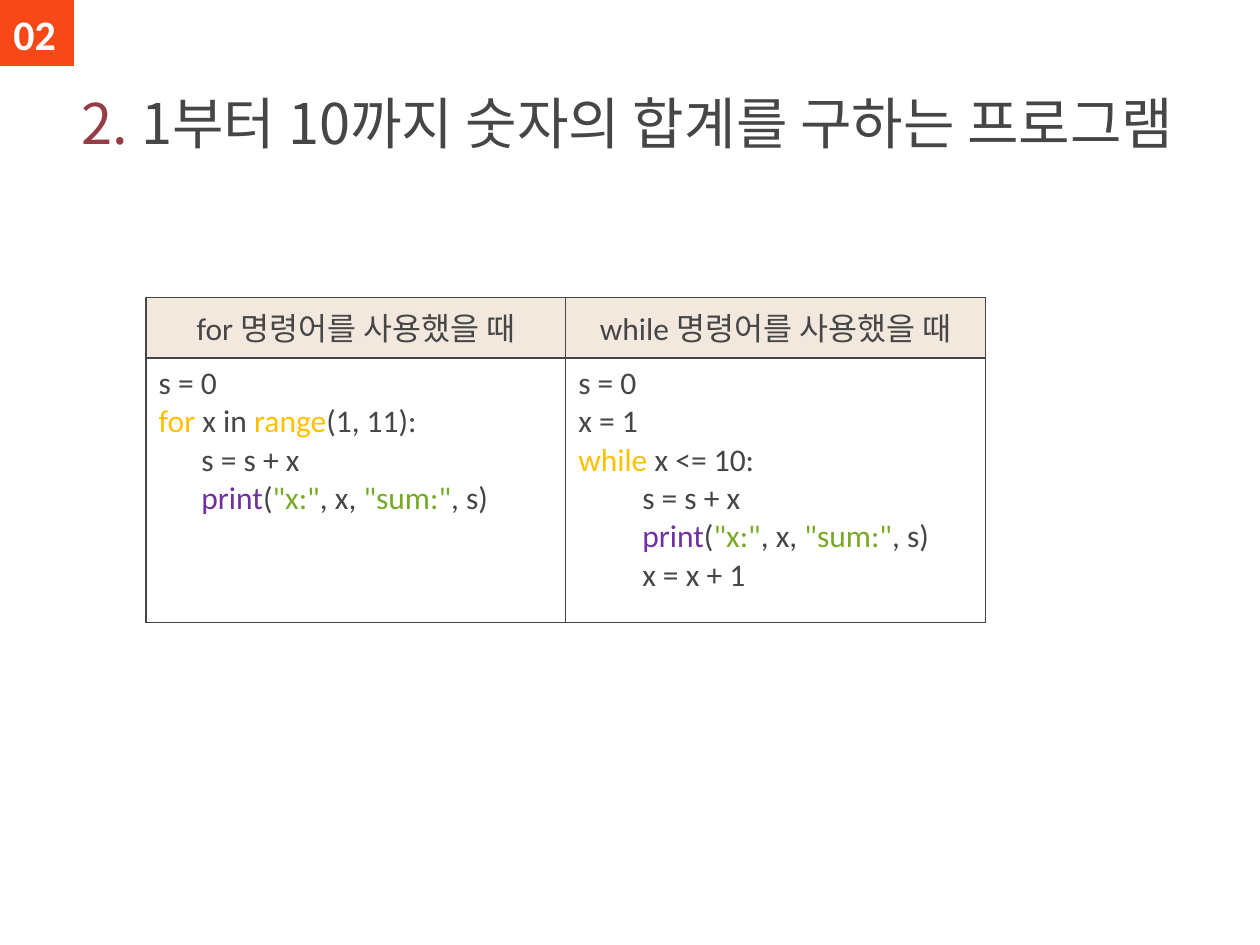
import pptx
import pptx.util
import pptx.dml.color
import pptx.enum.shapes
import pptx.enum.text
import pptx.oxml
import pptx.oxml.ns

Inches, Pt = pptx.util.Inches, pptx.util.Pt
RGBColor = pptx.dml.color.RGBColor
PP_ALIGN = pptx.enum.text.PP_ALIGN
ANCHOR = pptx.enum.text.MSO_ANCHOR

INK = RGBColor(0x46, 0x46, 0x46)
WINE = RGBColor(0x95, 0x3D, 0x46)
ORANGE = RGBColor(0xF8, 0x48, 0x18)
WHITE = RGBColor(0xFF, 0xFF, 0xFF)
BEIGE = RGBColor(0xF2, 0xE8, 0xDE)
KEYWORD = RGBColor(0xFF, 0xC0, 0x00)
FUNCTION = RGBColor(0x70, 0x30, 0xA0)
STRING = RGBColor(0x78, 0xAA, 0x28)
LATIN, KOREAN = "Calibri", "Noto Sans CJK KR"

# Content: a line is a list of (text, colour) runs
TITLE = [("2. ", WINE), ("1부터 10까지 숫자의 합계를 구하는 프로그램", INK)]
NUMBER = [("02", WHITE)]
PRINT = [("print", FUNCTION), ("(", INK), ('"x:"', STRING), (", x, ", INK),
         ('"sum:"', STRING), (", s)", INK)]
FOR_INDENT, WHILE_INDENT = " " * 6, " " * 9
HEADERS = ["for 명령어를 사용했을 때", "while 명령어를 사용했을 때"]
PROGRAMS = [
    [
        [("s = 0", INK)],
        [("for", KEYWORD), (" x in ", INK), ("range", KEYWORD), ("(1, 11):", INK)],
        [(FOR_INDENT + "s = s + x", INK)],
        [(FOR_INDENT, INK)] + PRINT,
    ],
    [
        [("s = 0", INK)],
        [("x = 1", INK)],
        [("while", KEYWORD), (" x <= 10:", INK)],
        [(WHILE_INDENT + "s = s + x", INK)],
        [(WHILE_INDENT, INK)] + PRINT,
        [(WHILE_INDENT + "x = x + 1", INK)],
    ],
]
COL_WIDTH = 3.33
ROW_HEIGHTS = [0.48, 2.1]


def write(tf, lines, size, font=LATIN, align=PP_ALIGN.LEFT, bold=False):
    for i, line in enumerate(lines):
        p = tf.add_paragraph() if i else tf.paragraphs[0]
        p.alignment = align
        for text, color in line:
            r = p.add_run()
            r.text = text
            r.font.size, r.font.name, r.font.bold = Pt(size), font, bold
            r.font.color.rgb = color
            ea = pptx.oxml.parse_xml(
                f'<a:ea {pptx.oxml.ns.nsdecls("a")} typeface="{KOREAN}"/>')
            r.font._element.find(pptx.oxml.ns.qn("a:latin")).addnext(ea)


def add_borders(cell):
    tcPr = cell._tc.get_or_add_tcPr()
    for i, side in enumerate("LRTB"):
        tcPr.insert(i, pptx.oxml.parse_xml(
            f'<a:ln{side} {pptx.oxml.ns.nsdecls("a")} w="{Pt(1)}">'
            f'<a:solidFill><a:srgbClr val="{INK}"/></a:solidFill></a:ln{side}>'))


prs = pptx.Presentation()
prs.slide_width, prs.slide_height = Inches(10), Inches(7.5)
slide = prs.slides.add_slide(prs.slide_layouts[5])

# Number badge
badge = slide.shapes.add_shape(pptx.enum.shapes.MSO_SHAPE.FLOWCHART_PROCESS,
                               0, 0, Inches(0.59), Inches(0.52))
badge.shadow.inherit = False
badge.fill.solid()
badge.fill.fore_color.rgb = ORANGE
badge.line.fill.background()

number = slide.shapes.add_textbox(Inches(-0.12), Inches(0.02), Inches(0.79), Inches(0.5))
number.text_frame.word_wrap = True
write(number.text_frame, [NUMBER], 24, align=PP_ALIGN.CENTER, bold=True)

# Title
title = slide.shapes.title
title.left, title.top = Inches(0.55), Inches(0.41)
title.width, title.height = Inches(8.87), Inches(0.88)
tf = title.text_frame
tf.word_wrap = True
tf.auto_size = pptx.enum.text.MSO_AUTO_SIZE.NONE
tf.vertical_anchor = ANCHOR.BOTTOM
write(tf, [TITLE], 32, font=KOREAN)

# Comparison table
frame = slide.shapes.add_table(len(ROW_HEIGHTS), len(HEADERS), Inches(1.16), Inches(2.36),
                               Inches(COL_WIDTH * len(HEADERS)), Inches(sum(ROW_HEIGHTS)))
table = frame.table
table.horz_banding = False
for row, height in zip(table.rows, ROW_HEIGHTS):
    row.height = Inches(height)
for c, (header, program) in enumerate(zip(HEADERS, PROGRAMS)):
    table.columns[c].width = Inches(COL_WIDTH)
    head, body = table.cell(0, c), table.cell(1, c)
    head.fill.solid()
    head.fill.fore_color.rgb = BEIGE
    body.fill.background()
    write(head.text_frame, [[(header, INK)]], 18, align=PP_ALIGN.CENTER)
    write(body.text_frame, program, 18)
    for cell in (head, body):
        add_borders(cell)

prs.save("out.pptx")
